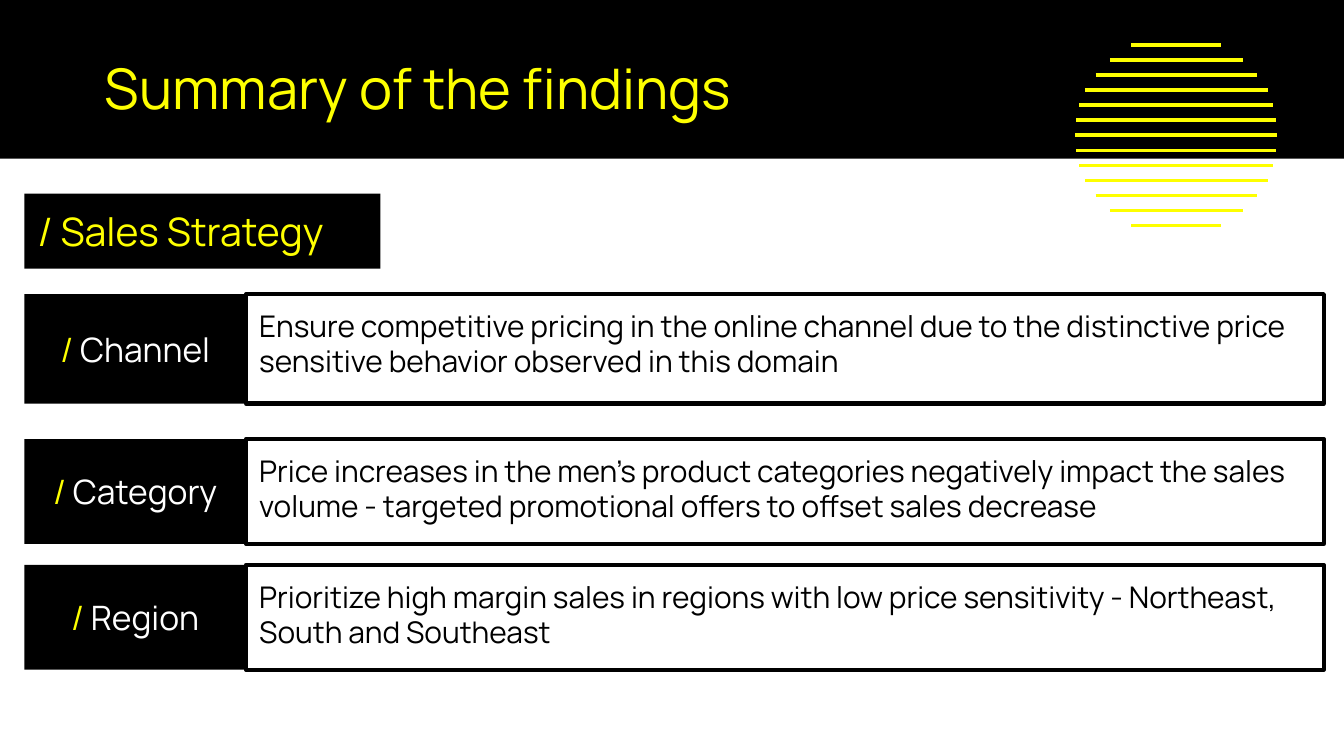
from pptx import Presentation
from pptx.dml.color import RGBColor
from pptx.enum.shapes import MSO_CONNECTOR as Connector, MSO_SHAPE as Shape
from pptx.enum.text import MSO_ANCHOR as Anchor, MSO_AUTO_SIZE as AutoSize, PP_ALIGN as Align
from pptx.oxml.ns import qn
from pptx.util import Cm, Pt
from lxml.etree import SubElement

BLACK = RGBColor(0x00, 0x00, 0x00)
WHITE = RGBColor(0xFF, 0xFF, 0xFF)
YELLOW = RGBColor(0xFE, 0xFF, 0x00)


class SlideBuilder:
    font = "Manrope"
    inset = Cm(0.25)

    def __init__(self, slide):
        self.slide = slide

    def label(self, shape, parts, size, align=Align.LEFT, anchor=Anchor.MIDDLE):
        """Fill a shape with one paragraph of (text, colour) parts."""
        frame = shape.text_frame
        frame.word_wrap = True
        frame.auto_size = AutoSize.NONE
        frame.vertical_anchor = anchor
        frame.margin_left = frame.margin_right = self.inset
        frame.margin_top = frame.margin_bottom = self.inset
        paragraph = frame.paragraphs[0]
        paragraph.alignment = align
        for text, color in parts:
            run = paragraph.add_run()
            run.text = text
            run.font.name = self.font
            run.font.size = Pt(size)
            run.font.color.rgb = color

    def title(self, text, left, top, width, height):
        title = self.slide.shapes.title
        title.left, title.top = Cm(left), Cm(top)
        title.width, title.height = Cm(width), Cm(height)
        self.label(title, [(text, YELLOW)], 30, anchor=Anchor.TOP)
        # Bring the title in front of the header band
        self.slide.shapes._spTree.append(title._element)

    def block(self, left, top, width, height):
        block = self.slide.shapes.add_shape(
            Shape.RECTANGLE, Cm(left), Cm(top), Cm(width), Cm(height))
        block.shadow.inherit = False
        block.fill.solid()
        block.fill.fore_color.rgb = BLACK
        block.line.fill.background()
        return block

    def framed(self, left, top, width, height):
        framed = self.block(left, top, width, height)
        framed.fill.background()
        framed.line.color.rgb = BLACK
        framed.line.width = Pt(2.25)
        return framed

    def stripe(self, center, y, width):
        stripe = self.slide.shapes.add_connector(
            Connector.STRAIGHT, Cm(center - width / 2), Cm(y), Cm(center + width / 2), Cm(y))
        stripe.line.color.rgb = YELLOW
        stripe.line.width = Pt(1.75)
        SubElement(stripe._element.spPr, qn("a:effectLst"))


def main():
    deck = Presentation()
    deck.slide_width, deck.slide_height = Cm(25.4), Cm(14.29)
    builder = SlideBuilder(deck.slides.add_slide(deck.slide_layouts[5]))

    # Header band
    builder.block(-0.08, -0.15, 25.48, 3.15)

    # Striped circle
    upper_widths = [1.7, 2.51, 3.05, 3.45, 3.66, 3.78]
    stripe_widths = upper_widths + [3.82] + upper_widths[::-1]
    first_y, last_y = 0.85, 4.26
    step = (last_y - first_y) / (len(stripe_widths) - 1)
    for index, width in enumerate(stripe_widths):
        builder.stripe(22.23, first_y + index * step, width)

    builder.title("Summary of the findings", 1.73, 0.76, 21.41, 1.6)

    # Section heading
    left, topic_width, finding_width = 0.46, 4.19, 20.37
    heading = builder.block(left, 3.66, 6.73, 1.42)
    builder.label(heading, [("/ Sales Strategy", YELLOW)], 21)

    # Findings: topic, text, top, height
    findings = [
        ("Channel", "Ensure competitive pricing in the online channel due to the distinctive "
         "price sensitive behavior observed in this domain", 5.56, 2.07),
        ("Category", "Price increases in the men’s product categories negatively impact the "
         "sales volume - targeted promotional offers to offset sales decrease", 8.3, 1.98),
        ("Region", "Prioritize high margin sales in regions with low price sensitivity - "
         "Northeast, South and Southeast", 10.68, 1.98),
    ]
    for name, text, top, height in findings:
        topic = builder.block(left, top, topic_width, height)
        builder.label(topic, [("/ ", YELLOW), (name, WHITE)], 18, Align.CENTER)
        finding = builder.framed(left + topic_width, top, finding_width, height)
        builder.label(finding, [(text, BLACK)], 16, anchor=Anchor.TOP)

    deck.save("out.pptx")


if __name__ == "__main__":
    main()
